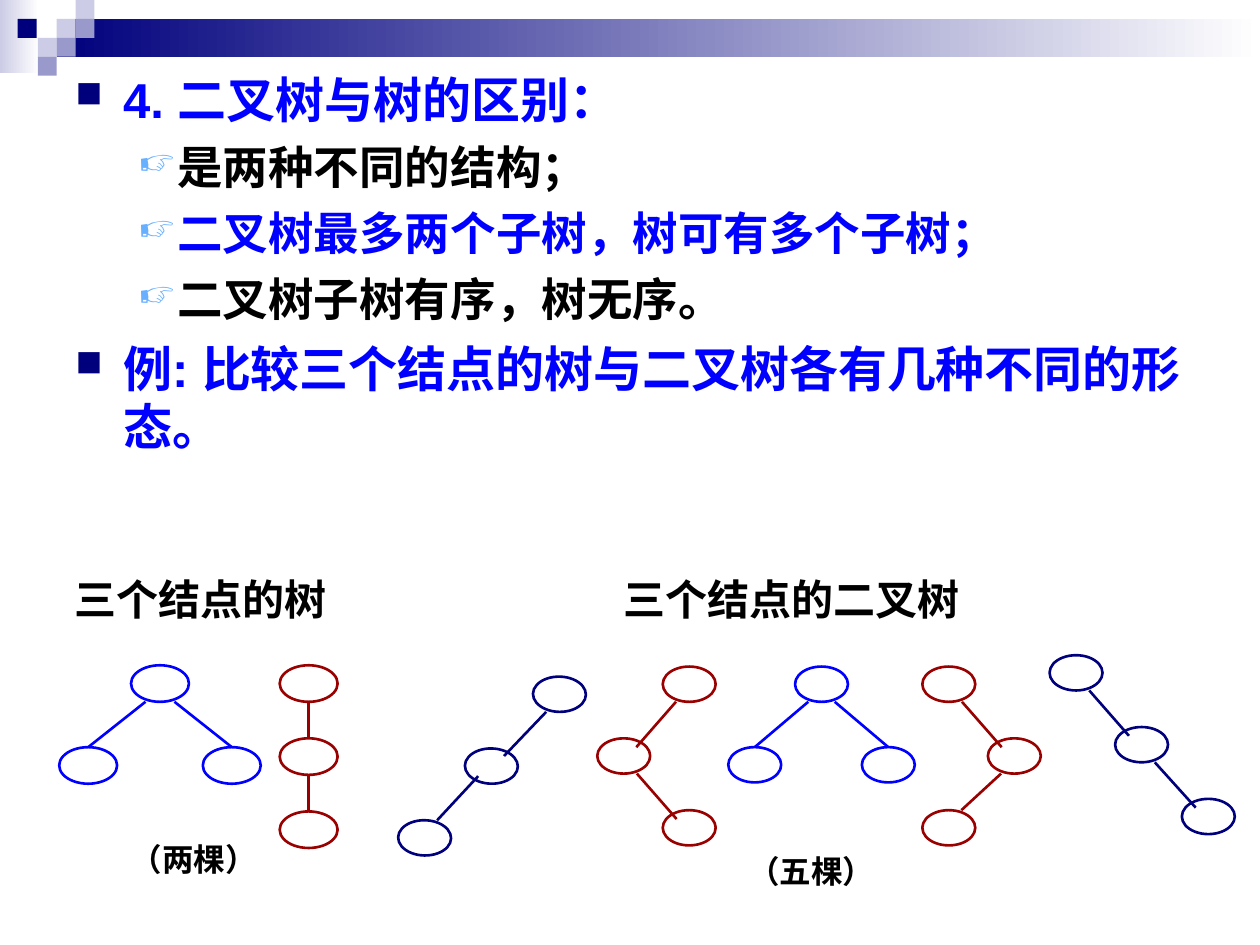
from lxml import etree
from pptx import Presentation
from pptx.dml.color import RGBColor
from pptx.enum.shapes import MSO_CONNECTOR, MSO_SHAPE
from pptx.enum.text import MSO_AUTO_SIZE, PP_ALIGN
from pptx.oxml.ns import qn
from pptx.util import Inches, Pt

RECTANGLE, OVAL = MSO_SHAPE.RECTANGLE, MSO_SHAPE.OVAL
STRAIGHT = MSO_CONNECTOR.STRAIGHT
LEFT, CENTER = PP_ALIGN.LEFT, PP_ALIGN.CENTER
GROW = MSO_AUTO_SIZE.SHAPE_TO_FIT_TEXT

NAVY, BLUE, RED = "00007D", "0000FF", "990000"
BLACK, WHITE = "000000", "FFFFFF"
PALE, LILAC, SKY = "CCCCE6", "9999CC", "67AFFF"

# Bullet levels: indent, hanging, text size, space before, character, colour, percent
LEVELS = [
    (0.38, 0.38, 28, 7, "■", NAVY, 75),
    (0.81, 0.31, 26, 6.5, "☞", SKY, 80),
]
OUTLINE = [
    (0, "4. 二叉树与树的区别：", BLUE),
    (1, "是两种不同的结构；", BLACK),
    (1, "二叉树最多两个子树，树可有多个子树；", BLUE),
    (1, "二叉树子树有序，树无序。", BLACK),
    (0, "例: 比较三个结点的树与二叉树各有几种不同的形态。", BLUE),
]
SQUARES = [
    (0.45, 0.15, PALE), (0.6, 0, PALE), (0.6, 0.15, LILAC), (0.3, 0.3, PALE),
    (0.14, 0.15, NAVY), (0.45, 0.3, LILAC), (0.3, 0.45, LILAC),
]
LARGE, SMALL = (0.46, 0.29), (0.42, 0.28)
FORK = [(0, 1, 0, 0), (0, 2, 0, 0)]
# Trees: colour, node size, lean of edge ends, rotation, node corners,
# edges as (parent, child, overlap with parent, overlap with child)
TREES = [
    (BLUE, LARGE, 0, 0, [(1.04, 5.28), (0.47, 5.93), (1.61, 5.93)], FORK),
    (RED, LARGE, 0, 0, [(2.22, 5.28), (2.22, 5.86), (2.22, 6.44)],
     [(0, 1, 0, 0), (1, 2, 0, 0)]),
    (BLUE, SMALL, 0, 0, [(6.31, 5.29), (5.78, 5.93), (6.84, 5.93)], FORK),
    (NAVY, SMALL, 0.1, 1.2, [(4.23, 5.37), (3.69, 5.94), (3.16, 6.51)],
     [(0, 1, 0, 0.06), (1, 2, 0.06, 0)]),
    (RED, SMALL, 0.1, 0, [(5.26, 5.29), (4.74, 5.86), (5.26, 6.43)],
     [(0, 1, 0, 0.07), (1, 2, 0, 0.07)]),
    (RED, SMALL, 0.1, 0, [(7.32, 5.29), (7.84, 5.86), (7.32, 6.43)],
     [(0, 1, 0, 0.07), (1, 2, 0, 0)]),
    (NAVY, SMALL, 0.1, 0, [(8.33, 5.2), (8.85, 5.77), (9.38, 6.34)],
     [(0, 1, 0, 0.07), (1, 2, 0, 0.07)]),
]


def color(value):
    return RGBColor.from_string(value)


def write(para, text, size, font="Arial", tint=BLACK, align=LEFT, spacing=None):
    """Add one bold span to a paragraph."""
    para.alignment = align
    if spacing:
        para.line_spacing = spacing
    span = para.add_run()
    span.text = text
    span.font.size = Pt(size)
    span.font.name = font
    span.font.bold = True
    span.font.color.rgb = color(tint)


def add_bullet(para, level):
    """Give a paragraph the indent and bullet of its level."""
    indent, hanging, _, _, character, tint, percent = LEVELS[level]
    props = para._p.get_or_add_pPr()
    props.set("marL", str(Inches(indent)))
    props.set("indent", str(-Inches(hanging)))
    tint_node = etree.SubElement(props, qn("a:buClr"))
    etree.SubElement(tint_node, qn("a:srgbClr"), val=tint)
    etree.SubElement(props, qn("a:buSzPct"), val=str(percent * 1000))
    etree.SubElement(props, qn("a:buChar"), char=character)


class SlideBuilder:
    """Holds the current slide and the line style of its trees."""

    line_width = Pt(1.5)

    def __init__(self, page):
        self.page = page

    def shape(self, kind, left, top, width, height):
        shape = self.page.shapes.add_shape(
            kind, Inches(left), Inches(top), Inches(width), Inches(height))
        shape.shadow.inherit = False
        return shape

    def square(self, left, top, tint):
        square = self.shape(RECTANGLE, left, top, 0.15, 0.15)
        square.fill.solid()
        square.fill.fore_color.rgb = color(tint)
        square.line.fill.background()

    def fade(self, left, top, width, height, tint):
        """Add a band that fades from a colour to white, left to right."""
        band = self.shape(RECTANGLE, left, top, width, height)
        band.fill.gradient()
        band.fill.gradient_angle = 0
        for stop, value in zip(band.fill.gradient_stops, (tint, WHITE)):
            stop.color.rgb = color(value)
        band.line.fill.background()

    def node(self, left, top, size, tint, rotation):
        node = self.shape(OVAL, left, top, *size)
        node.rotation = rotation
        node.fill.background()
        node.line.color.rgb = color(tint)
        node.line.width = self.line_width

    def edge(self, start, end, tint):
        edge = self.page.shapes.add_connector(
            STRAIGHT, *(Inches(value) for value in (*start, *end)))
        edge.line.color.rgb = color(tint)
        edge.line.width = self.line_width
        etree.SubElement(edge._element.spPr, qn("a:effectLst"))

    def tree(self, tint, size, lean, rotation, corners, edges):
        width, height = size
        for left, top in corners:
            self.node(left, top, size, tint, rotation)
        for parent, child, rise, dip in edges:
            (x1, y1), (x2, y2) = corners[parent], corners[child]
            side = (x2 > x1) - (x2 < x1)
            start = (x1 + width / 2 + side * width / 4, y1 + height - rise)
            end = (x2 + width / 2 - side * lean, y2 + dip)
            self.edge(start, end, tint)

    def text_box(self, left, top, width, height):
        box = self.page.shapes.add_textbox(
            Inches(left), Inches(top), Inches(width), Inches(height))
        box.text_frame.word_wrap = True
        return box.text_frame

    def label(self, left, top, width, height, text, size, **style):
        frame = self.text_box(left, top, width, height)
        frame.auto_size = GROW
        write(frame.paragraphs[0], text, size, **style)

    def outline(self, left, top, width, height, items):
        frame = self.text_box(left, top, width, height)
        for index, (level, text, tint) in enumerate(items):
            para = frame.add_paragraph() if index else frame.paragraphs[0]
            size, before = LEVELS[level][2:4]
            para.level = level
            para.space_before = Pt(before if index else 0)
            add_bullet(para, level)
            write(para, text, size, tint=tint)


def main():
    deck = Presentation()
    deck.slide_width, deck.slide_height = Inches(10), Inches(7.5)
    builder = SlideBuilder(deck.slides.add_slide(deck.slide_layouts[6]))

    builder.fade(0, 0, 0.31, 0.58, PALE)
    builder.fade(0.45, 0.15, 9.55, 0.3, NAVY)
    for square in SQUARES:
        builder.square(*square)

    builder.outline(0.5, 0.5, 9, 7, OUTLINE)
    for tree in TREES:
        builder.tree(*tree)

    heading = {"font": "Times New Roman", "align": CENTER, "spacing": 1.2}
    builder.label(0.25, 4.42, 2.68, 0.58, "三个结点的树", 24, **heading)
    builder.label(4.03, 4.42, 4.5, 0.58, "三个结点的二叉树", 24, **heading)
    builder.label(0.94, 6.62, 1.34, 0.4, "（两棵）", 18)
    builder.label(5.84, 6.71, 1.34, 0.4, "（五棵）", 18)

    deck.save("out.pptx")


if __name__ == "__main__":
    main()
